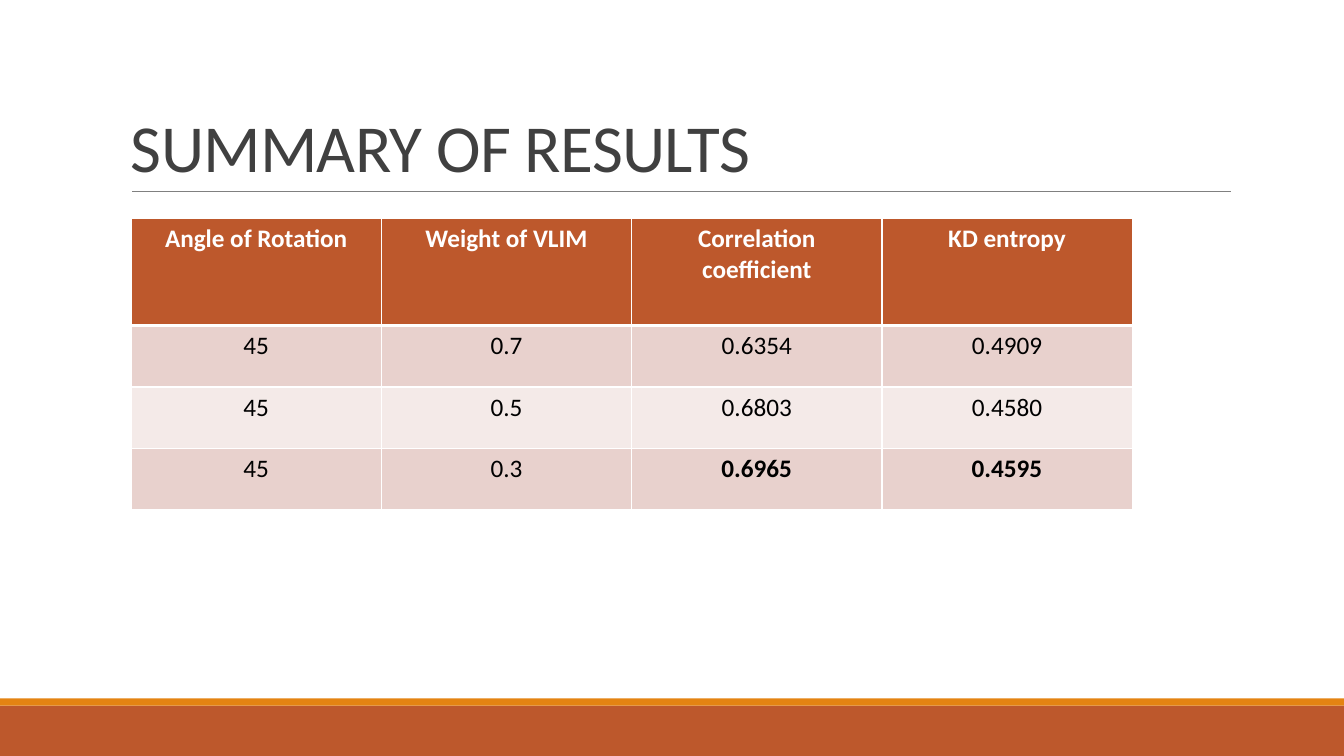
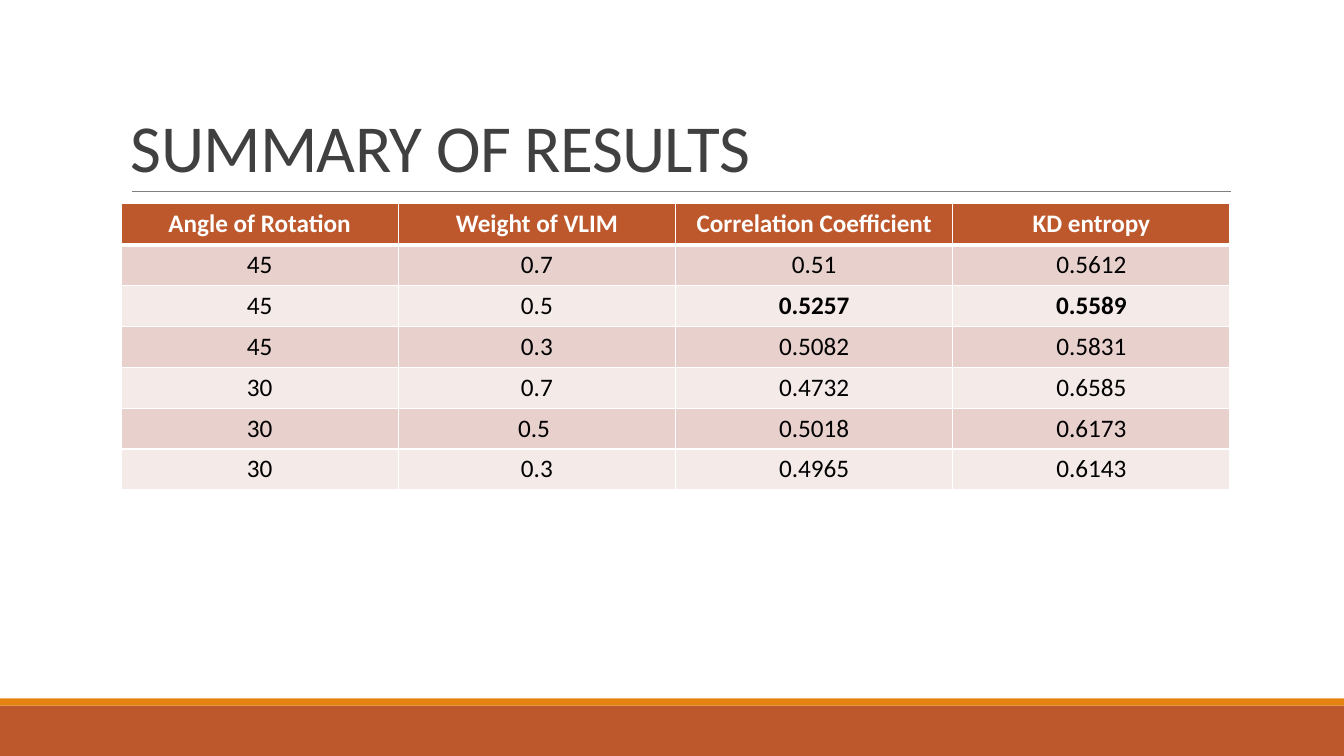
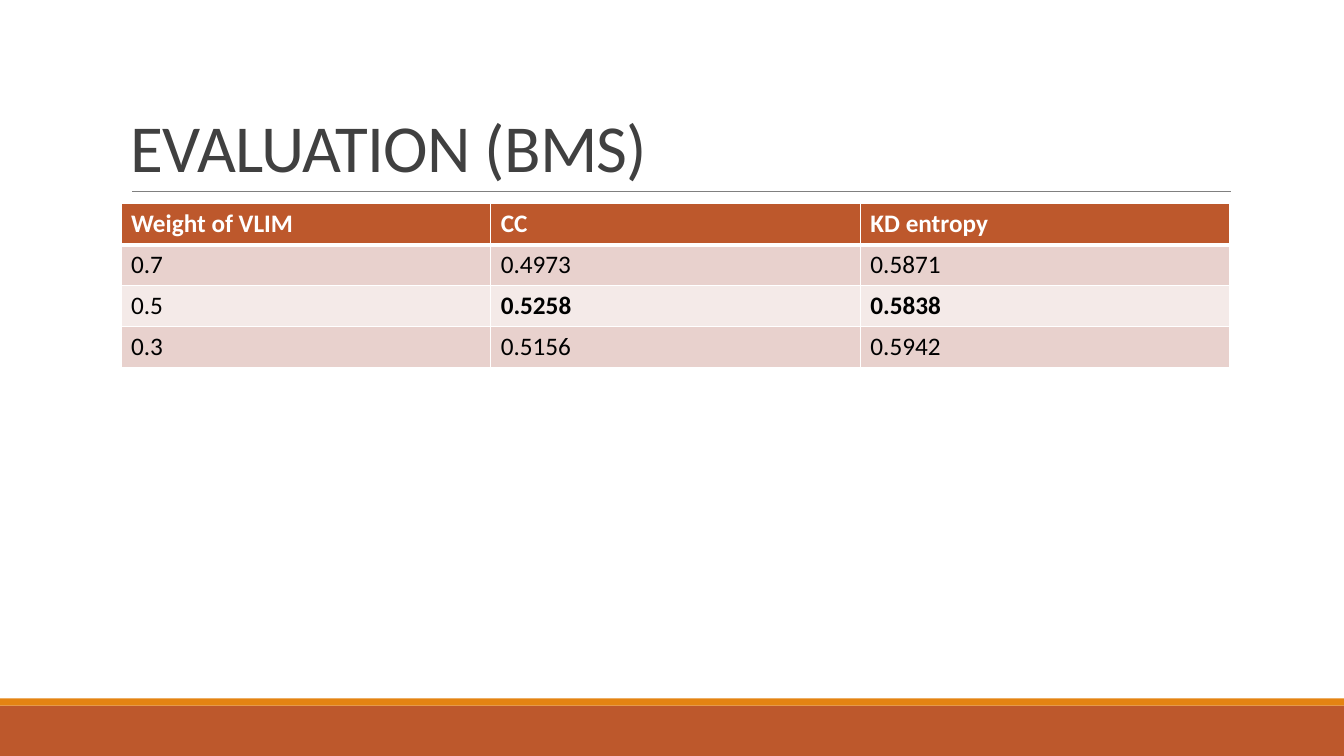
"""Build three result slides, each with a title and one table."""
from pptx import Presentation
from pptx.dml.color import RGBColor
from pptx.enum.shapes import MSO_CONNECTOR, MSO_SHAPE
from pptx.enum.text import MSO_ANCHOR, PP_ALIGN
from pptx.oxml.ns import qn
from pptx.util import Inches, Pt
from lxml import etree

RECTANGLE = MSO_SHAPE.RECTANGLE
STRAIGHT = MSO_CONNECTOR.STRAIGHT
BOTTOM = MSO_ANCHOR.BOTTOM
LEFT, CENTER = PP_ALIGN.LEFT, PP_ALIGN.CENTER

FONT = "Calibri"
RUST, ORANGE, GRAY, WHITE = "BD582C", "E48312", "808080", "FFFFFF"
STRIPES = ("E8D1CD", "F4EAE8")
SLIDE_WIDTH, SLIDE_HEIGHT = 13.33, 7.5
BANDS = ((7, 0.5, RUST), (6.93, 0.07, ORANGE))
RULE_LEFT, RULE_RIGHT, RULE_TOP = 1.31, 12.21, 1.9
TITLE_BOX = (1.2, 0.31, 11, 1.59)
TITLE_FORMAT = {"name": FONT, "size": Pt(48), "bold": False}
CELL_FORMAT = {"name": FONT, "size": Pt(18)}

SLIDES = [
    {
        "title": "SUMMARY OF RESULTS",
        "left": 1.3, "top": 2.17, "width": 9.93,
        "header_height": 1.06, "row_height": 0.61,
        "align": CENTER, "best_row": 3,
        "rows": [
            ("Angle of Rotation", "Weight of VLIM", "Correlation coefficient", "KD entropy"),
            ("45", "0.7", "0.6354", "0.4909"),
            ("45", "0.5", "0.6803", "0.4580"),
            ("45", "0.3", "0.6965", "0.4595"),
        ],
    },
    {
        "title": "SUMMARY OF RESULTS",
        "left": 1.2, "top": 2.02, "width": 11,
        "header_height": 0.41, "row_height": 0.405,
        "align": CENTER, "best_row": 2,
        "rows": [
            ("Angle of Rotation", "Weight of VLIM", "Correlation Coefficient", "KD entropy"),
            ("45", "0.7", "0.51", "0.5612"),
            ("45", "0.5", "0.5257", "0.5589"),
            ("45", "0.3", "0.5082", "0.5831"),
            ("30", "0.7", "0.4732", "0.6585"),
            ("30", "0.5 ", "0.5018", "0.6173"),
            ("30", "0.3", "0.4965", "0.6143"),
        ],
    },
    {
        "title": "EVALUATION (BMS)",
        "left": 1.2, "top": 2.02, "width": 11,
        "header_height": 0.41, "row_height": 0.405,
        "align": LEFT, "best_row": 2,
        "rows": [
            ("Weight of VLIM", "CC", "KD entropy"),
            ("0.7", "0.4973", "0.5871"),
            ("0.5", "0.5258", "0.5838"),
            ("0.3", "0.5156", "0.5942"),
        ],
    },
]


def color(value):
    return RGBColor.from_string(value)


def format_font(font, values, font_color):
    for name, value in values.items():
        setattr(font, name, value)
    font.color.rgb = color(font_color)


def add_frame(slide):
    for top, height, fill in BANDS:
        band = slide.shapes.add_shape(
            RECTANGLE, 0, Inches(top), Inches(SLIDE_WIDTH), Inches(height))
        band.shadow.inherit = False
        band.fill.solid()
        band.fill.fore_color.rgb = color(fill)
        band.line.fill.background()
    rule = slide.shapes.add_connector(
        STRAIGHT, Inches(RULE_LEFT), Inches(RULE_TOP), Inches(RULE_RIGHT), Inches(RULE_TOP))
    rule.line.color.rgb = color(GRAY)
    rule.line.width = Pt(0.5)
    etree.SubElement(rule._element.spPr, qn("a:effectLst"))


def add_title(slide, text):
    box = slide.shapes.add_textbox(*map(Inches, TITLE_BOX))
    frame = box.text_frame
    frame.word_wrap = True
    frame.vertical_anchor = BOTTOM
    paragraph = frame.paragraphs[0]
    paragraph.line_spacing = 0.85
    run = paragraph.add_run()
    run.text = text
    format_font(run.font, TITLE_FORMAT, "404040")
    run.font._element.set("spc", "-50")


def add_borders(cell, row_index):
    widths = {"L": 1, "R": 1, "T": 3 if row_index == 1 else 1, "B": 3 if row_index == 0 else 1}
    properties = cell._tc.get_or_add_tcPr()
    for side, width in widths.items():
        line = etree.SubElement(properties, qn(f"a:ln{side}"), w=str(Pt(width)))
        fill = etree.SubElement(line, qn("a:solidFill"))
        etree.SubElement(fill, qn("a:srgbClr"), val=WHITE)


def add_results(slide, content):
    rows = content["rows"]
    column_count = len(rows[0])
    heights = [content["header_height"]] + [content["row_height"]] * (len(rows) - 1)
    table = slide.shapes.add_table(
        len(rows), column_count, Inches(content["left"]), Inches(content["top"]),
        Inches(content["width"]), Inches(sum(heights))).table
    for column in table.columns:
        column.width = Inches(content["width"] / column_count)
    for row_index, values in enumerate(rows):
        table.rows[row_index].height = Inches(heights[row_index])
        header = row_index == 0
        for column_index, value in enumerate(values):
            cell = table.cell(row_index, column_index)
            add_borders(cell, row_index)
            cell.fill.solid()
            cell.fill.fore_color.rgb = color(RUST if header else STRIPES[(row_index - 1) % 2])
            paragraph = cell.text_frame.paragraphs[0]
            paragraph.alignment = content["align"]
            run = paragraph.add_run()
            run.text = value
            best = row_index == content["best_row"] and column_index >= column_count - 2
            format_font(run.font, {**CELL_FORMAT, "bold": header or best},
                        WHITE if header else "000000")


def main():
    presentation = Presentation()
    presentation.slide_width = Inches(SLIDE_WIDTH)
    presentation.slide_height = Inches(SLIDE_HEIGHT)
    for content in SLIDES:
        slide = presentation.slides.add_slide(presentation.slide_layouts[6])
        add_frame(slide)
        add_title(slide, content["title"])
        add_results(slide, content)
    presentation.save("out.pptx")


if __name__ == "__main__":
    main()
